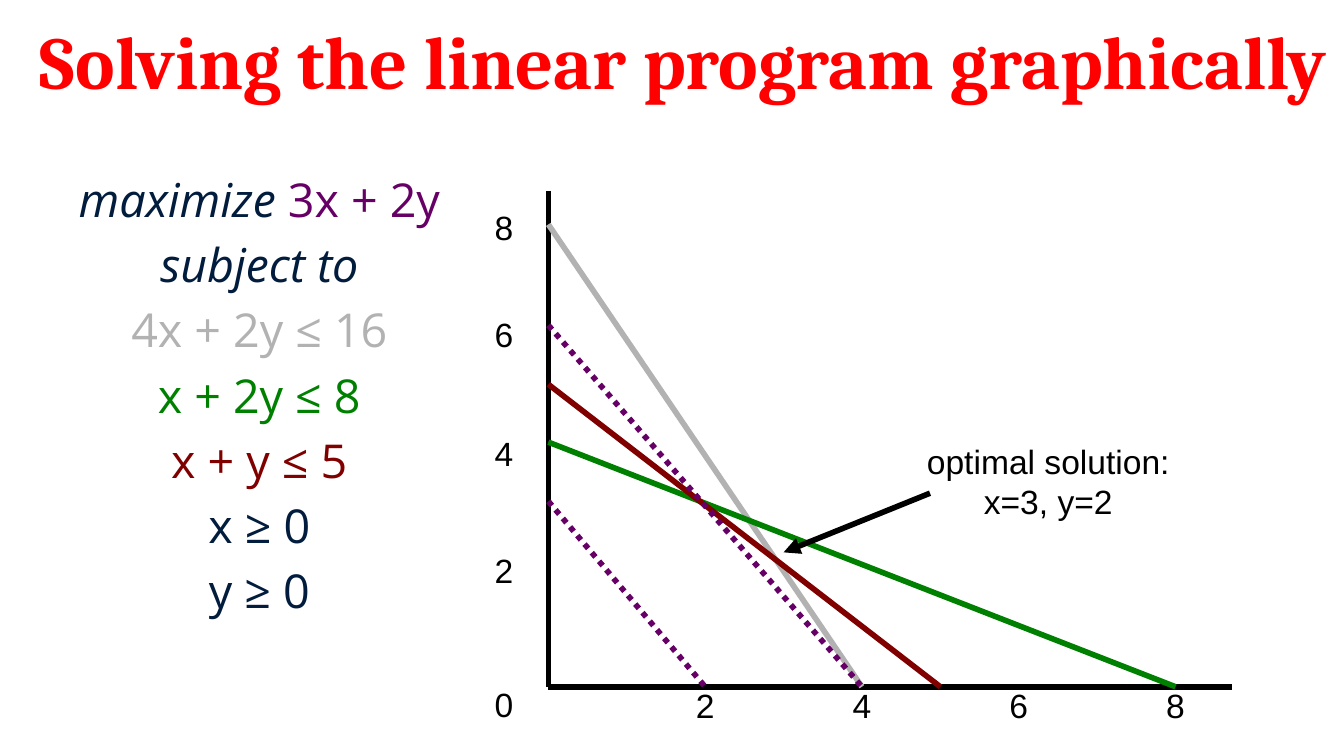
from lxml import etree
from pptx import Presentation
from pptx.dml.color import RGBColor
from pptx.enum.dml import MSO_LINE_DASH_STYLE as Dash
from pptx.enum.shapes import MSO_CONNECTOR as Connector
from pptx.enum.text import MSO_ANCHOR as Anchor, PP_ALIGN as Align
from pptx.oxml.ns import qn
from pptx.util import Inches, Pt

COLORS = {
    "title": "FF0000", "text": "011C3C", "axis": "000000", "objective": "660066",
    "gray": "B2B2B2", "green": "008000", "red": "800000",
}

# Each line is a list of (text, color, italic)
PROGRAM = [
    [("maximize ", "text", True), ("3x + 2y", "objective", False)],
    [("subject to", "text", True)],
    [("4x + 2y ≤ 16", "gray", False)],
    [("x + 2y ≤ 8", "green", False)],
    [("x + y ≤ 5", "red", False)],
    [("x ≥ 0", "text", False)],
    [("y ≥ 0", "text", False)],
]

# Height of the y intercept in inches, x intercept in units, color, dashed
GRAPH_LINES = [
    (3.44, 4, "gray", False),
    (1.82, 8, "green", False),
    (2.25, 5, "red", False),
    (1.38, 2, "objective", True),
    (2.69, 4, "objective", True),
]
Y_LABEL_TOPS = {0: 3.62, 2: 2.62, 4: 1.75, 6: 0.87, 8: 0.07}
X_LABELS = (2, 4, 6, 8)
X_UNIT = 7 / 12


def style(span, font, size, color, bold=False, italic=False):
    span.font.name = font
    span.font.size = Pt(size)
    span.font.bold = bold
    span.font.italic = italic
    span.font.color.rgb = RGBColor.from_string(COLORS[color])


def add_box(page, left, top, width, height, wrap=True):
    box = page.shapes.add_textbox(Inches(left), Inches(top), Inches(width), Inches(height))
    box.text_frame.word_wrap = wrap
    return box.text_frame


def add_label(page, text, left, top, width=0.34, height=0.4, wrap=False):
    frame = add_box(page, left, top, width, height, wrap)
    frame.text = text
    para = frame.paragraphs[0]
    para.alignment = Align.CENTER
    style(para.runs[0], "Arial", 18, "axis")


def add_line(page, start, end, color, dashed=False, arrow=False):
    line = page.shapes.add_connector(Connector.STRAIGHT, *map(Inches, start + end))
    line.line.color.rgb = RGBColor.from_string(COLORS[color])
    line.line.width = Pt(3)
    if dashed:
        line.line.dash_style = Dash.ROUND_DOT
    if arrow:
        etree.SubElement(line.line._get_or_add_ln(), qn("a:tailEnd"), type="triangle")
    etree.SubElement(line._element.spPr, qn("a:effectLst"))


def add_title(page, left, top, width, height):
    frame = add_box(page, left, top, width, height)
    frame.vertical_anchor = Anchor.MIDDLE
    frame.text = "Solving the linear program graphically"
    para = frame.paragraphs[0]
    para.alignment = Align.CENTER
    style(para.runs[0], "Cambria", 40, "title", bold=True)


def add_program(page, left, top, width, height):
    frame = add_box(page, left, top, width, height)
    for index, parts in enumerate(PROGRAM):
        para = frame.add_paragraph() if index else frame.paragraphs[0]
        para.alignment = Align.CENTER
        para.space_before = Pt(5 if index else 0)
        for text, color, italic in parts:
            span = para.add_run()
            span.text = text
            style(span, "Open Sans", 25, color, italic=italic)


def add_graph(page, left, top, width, height):
    origin_x, origin_y = left + 0.5, top + height

    # Axes
    add_line(page, (origin_x, top), (origin_x, origin_y), "axis")
    add_line(page, (origin_x, origin_y), (left + width, origin_y), "axis")

    # Axis labels
    for value, offset in Y_LABEL_TOPS.items():
        add_label(page, str(value), left, top + offset)
    for value in X_LABELS:
        add_label(page, str(value), origin_x + value * X_UNIT - 0.17, origin_y - 0.06)

    # Constraints and objective levels
    for rise, units, color, dashed in GRAPH_LINES:
        add_line(page, (origin_x, origin_y - rise),
                 (origin_x + units * X_UNIT, origin_y), color, dashed)

    # Optimal point
    add_line(page, (left + 3.34, top + 2.25), (left + 2.25, top + 2.69), "axis", arrow=True)
    add_label(page, "optimal solution: x=3, y=2", left + 3.17, top + 1.81, 2.1, 0.71, True)


def main():
    deck = Presentation()
    deck.slide_width = Inches(10)
    deck.slide_height = deck.slide_width * 9 // 16
    page = deck.slides.add_slide(deck.slide_layouts[6])
    add_title(page, 0.17, 0.07, 9.83, 0.75)
    add_program(page, 0, 1.22, 3.86, 4.4)
    add_graph(page, 3.58, 1.42, 5.59, 3.69)
    deck.save("out.pptx")


if __name__ == "__main__":
    main()
